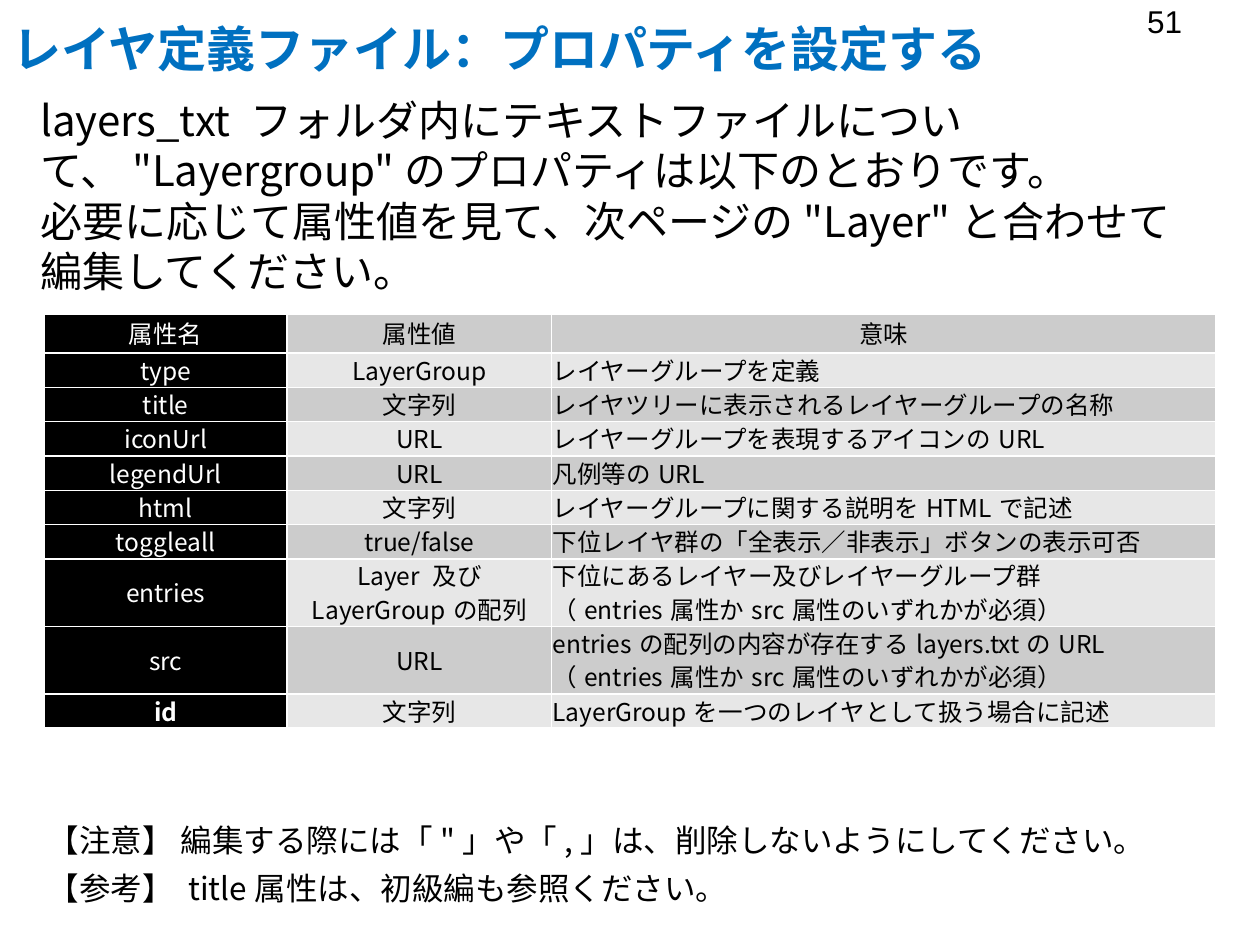
"""Build the slide on the Layergroup properties of the layer definition file."""
from lxml import etree
from pptx import Presentation
from pptx.dml.color import RGBColor
from pptx.enum.text import MSO_ANCHOR, PP_ALIGN
from pptx.oxml.ns import qn
from pptx.util import Cm, Pt

LEFT, CENTER, RIGHT = PP_ALIGN.LEFT, PP_ALIGN.CENTER, PP_ALIGN.RIGHT
TOP, MIDDLE = MSO_ANCHOR.TOP, MSO_ANCHOR.MIDDLE
BLACK = RGBColor(0x00, 0x00, 0x00)
WHITE = RGBColor(0xFF, 0xFF, 0xFF)
BLUE = RGBColor(0x00, 0x70, 0xC0)
DARK_BAND = RGBColor(0xCC, 0xCC, 0xCC)
LIGHT_BAND = RGBColor(0xE7, 0xE7, 0xE7)
JAPANESE = "Noto Sans CJK JP"


def write(frame, lines, size, color=BLACK, align=LEFT, bold=False,
          typeface=JAPANESE, spacing=None, after=None):
    for number, line in enumerate(lines):
        paragraph = frame.add_paragraph() if number else frame.paragraphs[0]
        paragraph.text = line
        paragraph.alignment = align
        paragraph.line_spacing = spacing
        paragraph.space_after = after
        font = paragraph.font
        font.size, font.bold, font.name = Pt(size), bold, typeface
        font.color.rgb = color
        defaults = paragraph._p.pPr.find(qn("a:defRPr"))
        etree.SubElement(defaults, qn("a:ea")).set("typeface", typeface)


def add_text(left, top, width, height, lines, size, anchor=TOP, **style):
    frame = slide.shapes.add_textbox(Cm(left), Cm(top), Cm(width), Cm(height)).text_frame
    frame.word_wrap = True
    frame.vertical_anchor = anchor
    write(frame, lines, size, **style)


prs = Presentation()
prs.slide_width, prs.slide_height = Cm(25.4), Cm(19.05)
slide = prs.slides.add_slide(prs.slide_layouts[6])

add_text(0, 0, 21.69, 1.32, ["レイヤ定義ファイル：プロパティを設定する"], 28,
         anchor=MIDDLE, color=BLUE, bold=True, spacing=1.5)
add_text(18.16, -0.08, 5.92, 1.32, ["51"], 18, align=RIGHT, typeface="Arial")
add_text(0.56, 1.78, 24.13, 4.37, [
    "layers_txt フォルダ内にテキストファイルについて、\"Layergroup\"のプロパティは以下のとおりです。",
    "必要に応じて属性値を見て、次ページの\"Layer\"と合わせて編集してください。",
], 24)

REQUIRED = "（entries属性かsrc属性のいずれかが必須）"
properties = [
    ("属性名", "属性値", ["意味"]),
    ("type", "LayerGroup", ["レイヤーグループを定義"]),
    ("title", "文字列", ["レイヤツリーに表示されるレイヤーグループの名称"]),
    ("iconUrl", "URL", ["レイヤーグループを表現するアイコンのURL"]),
    ("legendUrl", "URL", ["凡例等のURL"]),
    ("html", "文字列", ["レイヤーグループに関する説明をHTMLで記述"]),
    ("toggleall", "true/false", ["下位レイヤ群の「全表示／非表示」ボタンの表示可否"]),
    ("entries", "Layer 及び LayerGroupの配列",
     ["下位にあるレイヤー及びレイヤーグループ群", REQUIRED]),
    ("src", "URL", ["entriesの配列の内容が存在するlayers.txtのURL", REQUIRED]),
    ("id", "文字列", ["LayerGroupを一つのレイヤとして扱う場合に記述"]),
]
column_widths = [4.9, 5.33, 13.39]
table = slide.shapes.add_table(len(properties), len(column_widths), Cm(0.89), Cm(6.33),
                               Cm(sum(column_widths)), Cm(8.33)).table
for column, width in zip(table.columns, column_widths):
    column.width = Cm(width)

for r, (name, value, meaning) in enumerate(properties):
    table.rows[r].height = Cm(0.79 if r == 0 else 0.68 * len(meaning))
    band = LIGHT_BAND if r % 2 else DARK_BAND
    for c, lines in enumerate([[name], [value], meaning]):
        cell = table.cell(r, c)
        cell.vertical_anchor = MIDDLE
        cell.margin_left = cell.margin_right = cell.margin_top = Cm(0.02)
        cell.margin_bottom = 0
        write(cell.text_frame, lines, 14, color=BLACK if c else WHITE,
              align=LEFT if c == 2 and r else CENTER, bold=name == "id" and c == 0,
              spacing=Pt(19))
        borders = cell._tc.get_or_add_tcPr()
        for side in ("a:lnL", "a:lnR", "a:lnT", "a:lnB"):
            border = etree.SubElement(borders, qn(side), w=str(Pt(1)))
            paint = etree.SubElement(border, qn("a:solidFill"))
            etree.SubElement(paint, qn("a:srgbClr"), val=str(WHITE))
        cell.fill.solid()
        cell.fill.fore_color.rgb = band if c else BLACK

add_text(0.71, 16.43, 23.72, 2.01, [
    "【注意】 編集する際には「\"」や「,」は、削除しないようにしてください。",
    "【参考】 title属性は、初級編も参照ください。",
], 18, after=Pt(6))

prs.save("out.pptx")
